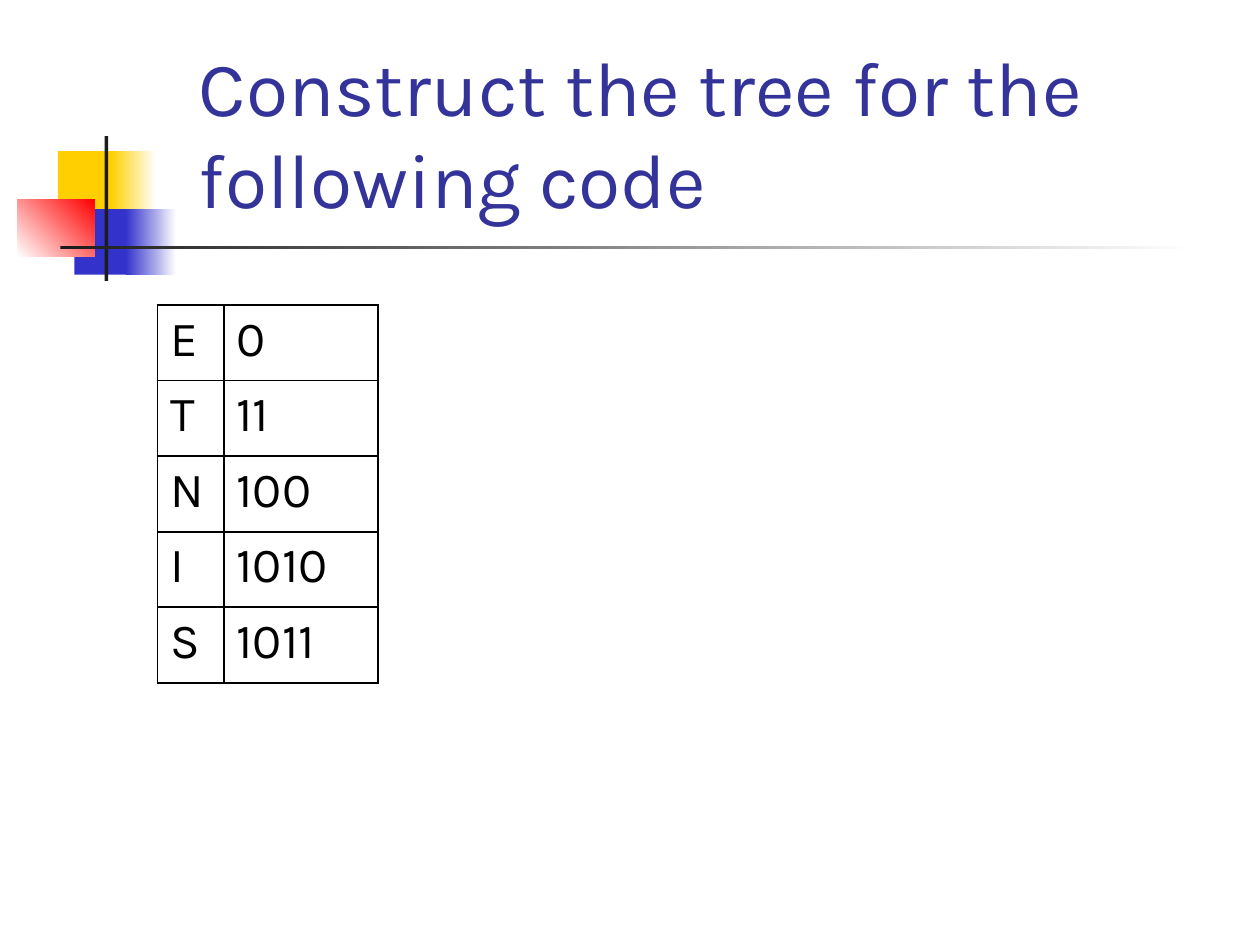
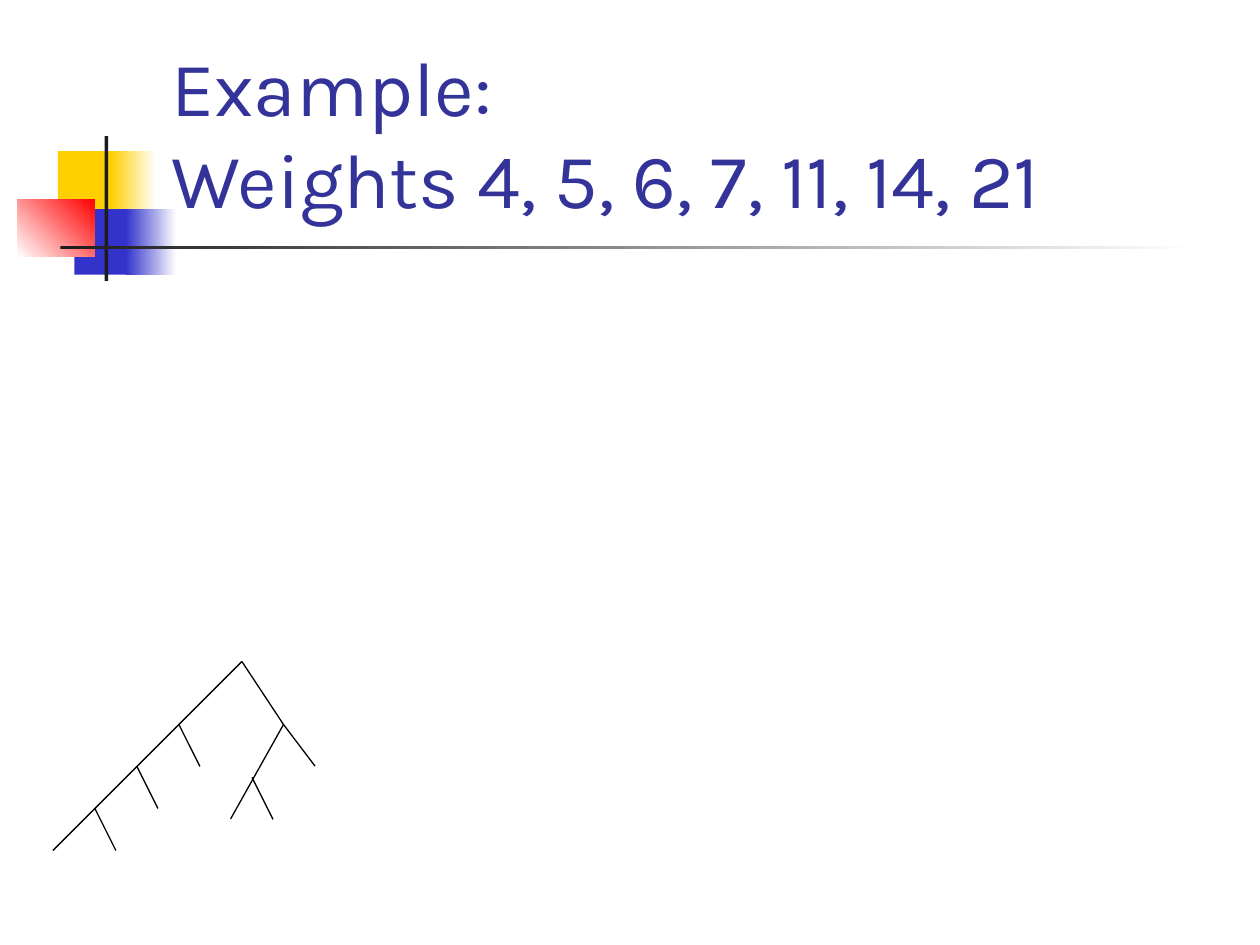
from pptx import Presentation
from pptx.dml.color import RGBColor
from pptx.enum.shapes import MSO_CONNECTOR, MSO_SHAPE
from pptx.enum.text import MSO_ANCHOR
from pptx.oxml.ns import qn
from pptx.util import Inches, Pt
from lxml.etree import SubElement

FONT = "Karla"
YELLOW, BLUE, RED = "FFCF01", "3333CC", "FF0000"
WHITE, BLACK, CHARCOAL, NAVY = "FFFFFF", "000000", "1C1C1C", "333399"

MOTIF = [
    ((0.46, 1.2, 0.48, 0.52), [YELLOW], 0),
    ((0.88, 1.2, 0.36, 0.52), [YELLOW, WHITE], 0),
    ((0.59, 1.66, 0.46, 0.52), [BLUE], 0),
    ((1, 1.66, 0.4, 0.52), [BLUE, WHITE], 0),
    ((0.14, 1.58, 0.61, 0.46), [WHITE, RED], 45),
    ((0.83, 1.08, 0.03, 1.15), [CHARCOAL], 0),
    ((0.48, 1.95, 9, 0.03), [CHARCOAL, WHITE], 0),
]
CODES = [("E", "0"), ("T", "11"), ("N", "100"), ("I", "1010"), ("S", "1011")]


def color(hex_value):
    return RGBColor.from_string(hex_value)


def set_font(para, size, hex_value):
    para.font.name = FONT
    para.font.size = Pt(size)
    para.font.bold = False
    para.font.color.rgb = color(hex_value)


def add_block(page, bounds, colors, angle):
    block = page.shapes.add_shape(MSO_SHAPE.RECTANGLE, *map(Inches, bounds))
    block.shadow.inherit = False
    block.line.fill.background()
    if len(colors) == 1:
        block.fill.solid()
        block.fill.fore_color.rgb = color(colors[0])
        return
    block.fill.gradient()
    block.fill.gradient_angle = angle
    for position, (stop, hex_value) in enumerate(zip(block.fill.gradient_stops, colors)):
        stop.position = position
        stop.color.rgb = color(hex_value)


def add_title(page, text, left):
    box = page.shapes.add_textbox(*map(Inches, (left, 0.23, 8.52, 1.6)))
    frame = box.text_frame
    frame.word_wrap = True
    frame.vertical_anchor = MSO_ANCHOR.BOTTOM
    para = frame.paragraphs[0]
    para.text = text
    set_font(para, 44, NAVY)


def add_page(deck, title, title_left):
    page = deck.slides.add_slide(deck.slide_layouts[6])
    for bounds, colors, angle in MOTIF:
        add_block(page, bounds, colors, angle)
    add_title(page, title, title_left)
    return page


def add_borders(cell):
    properties = cell._tc.get_or_add_tcPr()
    for side in ("a:lnL", "a:lnR", "a:lnT", "a:lnB"):
        border = SubElement(properties, qn(side), w=str(Pt(1.08)))
        fill = SubElement(border, qn("a:solidFill"))
        SubElement(fill, qn("a:srgbClr"), val=BLACK)


def add_code_table(page, codes, left, top, widths, row_height):
    frame = page.shapes.add_table(
        len(codes), len(widths), Inches(left), Inches(top),
        Inches(sum(widths)), Inches(row_height * len(codes)))
    table = frame.table
    table.first_row = False
    table.horz_banding = False
    for column, width in zip(table.columns, widths):
        column.width = Inches(width)
    for row, values in zip(table.rows, codes):
        row.height = Inches(row_height)
        for cell, value in zip(row.cells, values):
            add_borders(cell)
            cell.fill.background()
            para = cell.text_frame.paragraphs[0]
            para.text = value
            set_font(para, 28, BLACK)


def add_branch(page, start, end):
    branch = page.shapes.add_connector(
        MSO_CONNECTOR.STRAIGHT, *map(Inches, (*start, *end)))
    branch.line.color.rgb = color(BLACK)
    branch.line.width = Pt(0.75)
    SubElement(branch._element.spPr, qn("a:effectLst"))


def add_tree(page):
    root, right_node = (1.92, 5.25), (2.25, 5.75)
    add_branch(page, root, (0.42, 6.75))
    add_branch(page, root, right_node)
    add_branch(page, right_node, (1.83, 6.5))
    add_branch(page, right_node, (2.5, 6.08))
    spine_joints = [(1.42 - step / 3, 5.75 + step / 3) for step in range(3)]
    for x, y in spine_joints + [(2, 6.17)]:
        add_branch(page, (x, y), (x + 1 / 6, y + 1 / 3))


def main():
    deck = Presentation()
    deck.slide_width = Inches(10)
    deck.slide_height = Inches(7.5)
    code_page = add_page(deck, "Construct the tree for the following code", 1.48)
    add_code_table(code_page, CODES, 1.25, 2.42, (0.53, 1.22), 0.6)
    weights_page = add_page(deck, "Example:\nWeights 4, 5, 6, 7, 11, 14, 21", 1.26)
    add_tree(weights_page)
    deck.save("out.pptx")


if __name__ == "__main__":
    main()
